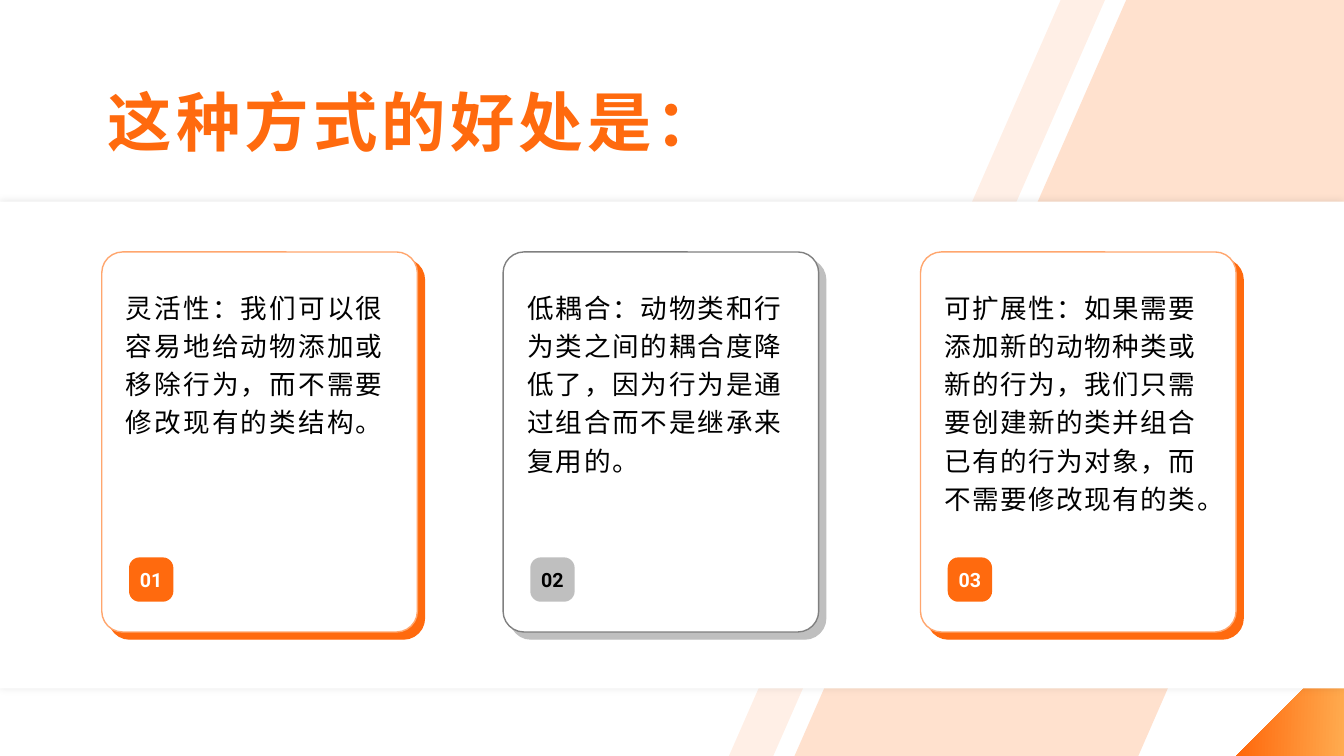
from lxml.etree import SubElement
from pptx import Presentation
from pptx.dml.color import RGBColor
from pptx.enum.shapes import MSO_SHAPE
from pptx.enum.text import MSO_ANCHOR, PP_ALIGN
from pptx.oxml.ns import qn
from pptx.util import Inches, Pt

ORANGE = RGBColor(0xFF, 0x6A, 0x0E)
LIGHT_ORANGE = RGBColor(0xFF, 0xAB, 0x4F)
PEACH = RGBColor(0xFF, 0xA6, 0x6E)
SILVER = RGBColor(0xBF, 0xBF, 0xBF)
GRAY = RGBColor(0x80, 0x80, 0x80)
WHITE = RGBColor(0xFF, 0xFF, 0xFF)
BLACK = RGBColor(0, 0, 0)
CJK_FONT = "Noto Sans CJK SC"

# Content
TITLE = "这种方式的好处是："
# left edge, letter spacing, accent, border, number colour, text
BENEFITS = [
    (1.01, 1.6, ORANGE, PEACH, WHITE,
     "灵活性：我们可以很容易地给动物添加或移除行为，而不需要修改现有的类结构。"),
    (4.99, 1.4, SILVER, GRAY, BLACK,
     "低耦合：动物类和行为类之间的耦合度降低了，因为行为是通过组合而不是继承来复用的。"),
    (9.13, 1.1, ORANGE, PEACH, WHITE,
     "可扩展性：如果需要添加新的动物种类或新的行为，我们只需要创建新的类并组合已有的行为对象，而不需要修改现有的类。"),
]
CORNER = [(13.33, 6.43), (13.33, 7.5), (12.26, 7.5)]
# outline, opacity in percent
STRIPES = [
    ([(10.52, 0), (10.96, 0), (7.67, 7.5), (7.23, 7.5)], 10),
    ([(11.17, 0), (13.33, 0), (13.33, 2.83), (11.29, 7.5), (7.88, 7.5)], 20),
]
CARD_TOP, CARD_W, CARD_H = 2.5, 3.13, 3.77
BACK_OFFSET = 0.07


def add_outline(slide, points):
    corners = [(Inches(x), Inches(y)) for x, y in points]
    builder = slide.shapes.build_freeform(*corners[0], scale=1.0)
    builder.add_line_segments(corners[1:], close=True)
    outline = builder.convert_to_shape()
    outline.shadow.inherit = False
    outline.line.fill.background()
    return outline


def add_box(slide, kind, box, fill, border=None, radius=None):
    shape = slide.shapes.add_shape(kind, *map(Inches, box))
    shape.shadow.inherit = False
    shape.fill.solid()
    shape.fill.fore_color.rgb = fill
    if border is None:
        shape.line.fill.background()
    else:
        shape.line.color.rgb = border
        shape.line.width = Pt(1)
    if radius is not None:
        shape.adjustments[0] = radius
    return shape


def write(frame, text, size, font, color, bold=False, spacing=0):
    paragraph = frame.paragraphs[0]
    run = paragraph.add_run()
    run.text = text
    run.font.size = Pt(size)
    run.font.bold = bold
    run.font.color.rgb = color
    run.font.name = font
    properties = run._r.get_or_add_rPr()
    SubElement(properties, qn("a:ea")).set("typeface", CJK_FONT)
    if spacing:
        properties.set("spc", str(round(spacing * 100)))
    return paragraph


def add_text_frame(slide, box):
    frame = slide.shapes.add_textbox(*map(Inches, box)).text_frame
    frame.word_wrap = True
    return frame


def add_background(slide):
    corner = add_outline(slide, CORNER)
    corner.fill.gradient()
    corner.fill.gradient_angle = 178
    for stop, (position, color) in zip(corner.fill.gradient_stops,
                                       [(0, LIGHT_ORANGE), (0.94, ORANGE)]):
        stop.position = position
        stop.color.rgb = color

    for points, opacity in STRIPES:
        stripe = add_outline(slide, points)
        stripe.fill.solid()
        stripe.fill.fore_color.rgb = ORANGE
        color = stripe._element.spPr.find(qn("a:solidFill"))[0]
        SubElement(color, qn("a:alpha")).set("val", str(opacity * 1000))

    # White band with a soft shadow
    band = add_box(slide, MSO_SHAPE.RECTANGLE, (0, 2, 13.33, 4.83), WHITE)
    effects = band._element.spPr.find(qn("a:effectLst"))
    shadow = SubElement(effects, qn("a:outerShdw"), blurRad=str(Pt(5)),
                        dist="0", dir="0", algn="ctr", rotWithShape="0")
    color = SubElement(shadow, qn("a:srgbClr"), val="0D0D0D")
    SubElement(color, qn("a:alpha"), val="10000")


def add_title(slide):
    frame = add_text_frame(slide, (1, 0.83, 8.67, 0.83))
    frame.vertical_anchor = MSO_ANCHOR.MIDDLE
    frame.margin_left = frame.margin_right = Inches(0.07)
    frame.margin_top = frame.margin_bottom = Inches(0.03)
    write(frame, TITLE, 46, CJK_FONT, ORANGE, True, 3).line_spacing = 0.9


def add_card(slide, number, left, spacing, accent, border, number_color, text):
    rounded = MSO_SHAPE.ROUNDED_RECTANGLE
    for offset, fill, line in ((BACK_OFFSET, accent, accent), (0, WHITE, border)):
        add_box(slide, rounded, (left + offset, CARD_TOP + offset, CARD_W, CARD_H),
                fill, line, 0.066)

    frame = add_text_frame(slide, (left + 0.14, CARD_TOP + 0.28, 2.84, 2.56))
    body = write(frame, text, 19, "Arial", BLACK, spacing=spacing)
    body.line_spacing = 1.2
    body.space_after = Pt(8)

    badge = add_box(slide, rounded, (left + 0.27, CARD_TOP + 3.03, 0.44, 0.44),
                    accent, radius=0.238)
    badge.text_frame.word_wrap = False
    badge.text_frame.vertical_anchor = MSO_ANCHOR.MIDDLE
    label = write(badge.text_frame, f"{number:02}", 14, "Roboto", number_color, True)
    label.alignment = PP_ALIGN.CENTER


def main():
    deck = Presentation()
    deck.slide_width, deck.slide_height = Inches(13.33), Inches(7.5)
    slide = deck.slides.add_slide(deck.slide_layouts[6])
    add_background(slide)
    add_title(slide)
    for number, benefit in enumerate(BENEFITS, 1):
        add_card(slide, number, *benefit)
    deck.save("out.pptx")


if __name__ == "__main__":
    main()
